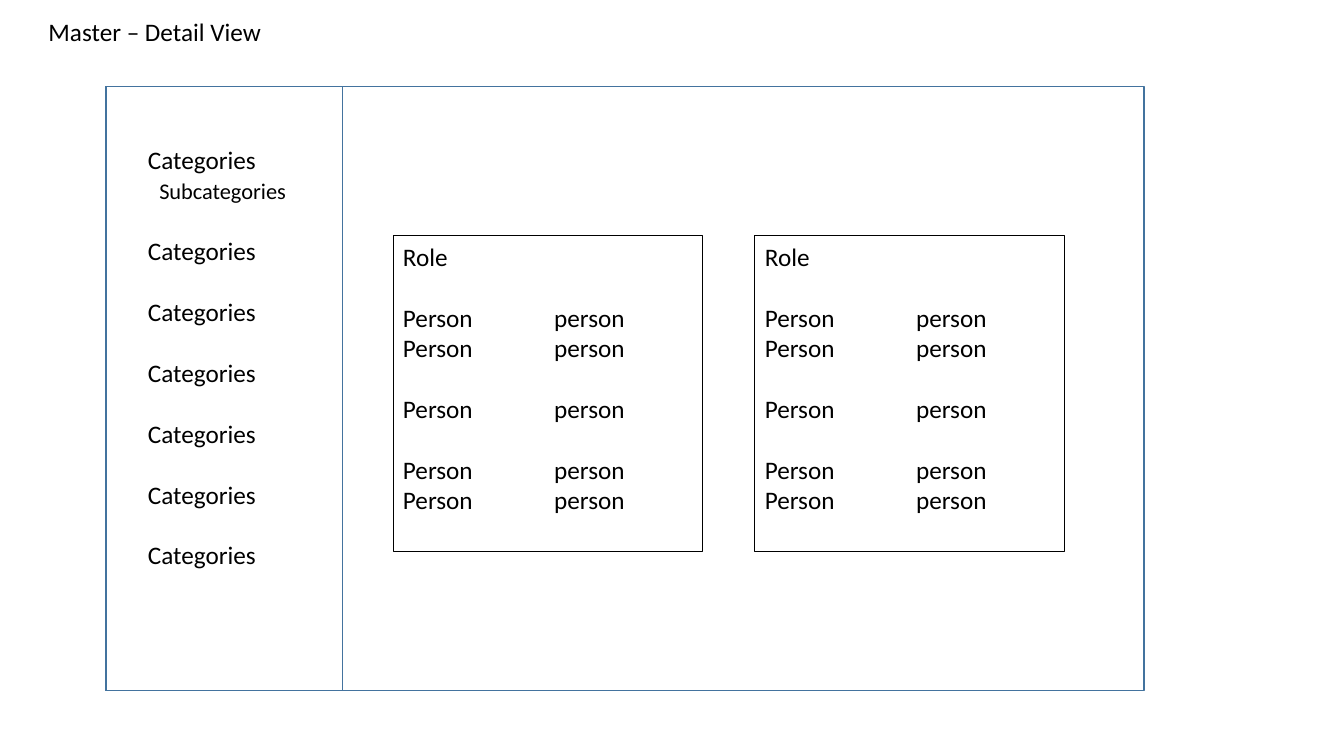
from pptx import Presentation
from pptx.dml.color import RGBColor
from pptx.enum import shapes, text
from pptx.util import Pt

THEME = {
    "font": "Calibri",
    "ink": RGBColor(0, 0, 0),
    "frame": RGBColor(0x43, 0x73, 0x9E),
    "body": Pt(18),
    "small": Pt(16),
    "gap": Pt(21.97),  # one empty body line
}
FRAME_FORMAT = {"color": THEME["frame"], "width": Pt(1)}
CARD_FORMAT = {"color": THEME["ink"], "width": Pt(0.75)}


def add_outline(page, left, top, width, height, line_format):
    box = page.shapes.add_shape(
        shapes.MSO_SHAPE.RECTANGLE, Pt(left), Pt(top), Pt(width), Pt(height))
    box.shadow.inherit = False
    box.fill.background()
    box.line.color.rgb = line_format["color"]
    box.line.width = line_format["width"]
    return box


def write_lines(box, lines):
    """Write (words, size, space before) lines at the top left of a box."""
    frame = box.text_frame
    frame_format = {
        "word_wrap": True, "auto_size": text.MSO_AUTO_SIZE.NONE,
        "vertical_anchor": text.MSO_ANCHOR.TOP,
        "margin_left": Pt(7.2), "margin_right": Pt(7.2),
        "margin_top": Pt(3.6), "margin_bottom": Pt(3.6),
    }
    for name, value in frame_format.items():
        setattr(frame, name, value)
    for index, (words, size, before) in enumerate(lines):
        para = frame.paragraphs[0] if index == 0 else frame.add_paragraph()
        para.alignment = text.PP_ALIGN.LEFT
        para.space_before = before
        span = para.add_run()
        span.text = words
        for name, value in {"name": THEME["font"], "size": size, "bold": False}.items():
            setattr(span.font, name, value)
        span.font.color.rgb = THEME["ink"]


deck = Presentation()
deck.slide_width, deck.slide_height = Pt(960), Pt(540)
page = deck.slides.add_slide(deck.slide_layouts[5])

# Title
title = page.shapes.title
title.left, title.top, title.width, title.height = Pt(27.4), Pt(7.9), Pt(436.3), Pt(29)
write_lines(title, [("Master – Detail View", THEME["body"], Pt(0))])

# Window and its master pane
for width in (741.6, 169.2):
    add_outline(page, 75.6, 61.9, width, 431.3, FRAME_FORMAT)

# Category list
category = ("Categories", THEME["body"], THEME["gap"])
categories = page.shapes.add_textbox(Pt(98.6), Pt(99.4), Pt(134.6), Pt(356.4))
write_lines(categories, [
    ("Categories", THEME["body"], Pt(0)),
    ("Subcategories", THEME["small"], Pt(2)),
    *[category] * 6,
])
subcategory = categories.text_frame.paragraphs[1]
subcategory._p.get_or_add_pPr().set("marL", str(Pt(8.1)))

# Role cards: people in groups of two, one and two
people = [("Person\t\tperson", THEME["body"], THEME["gap"] if first else Pt(0))
          for first in (True, False, True, True, False)]
for left in (280.8, 539.3):
    card = add_outline(page, left, 168.5, 221, 225.4, CARD_FORMAT)
    write_lines(card, [("Role", THEME["body"], Pt(0)), *people])

deck.save("out.pptx")
